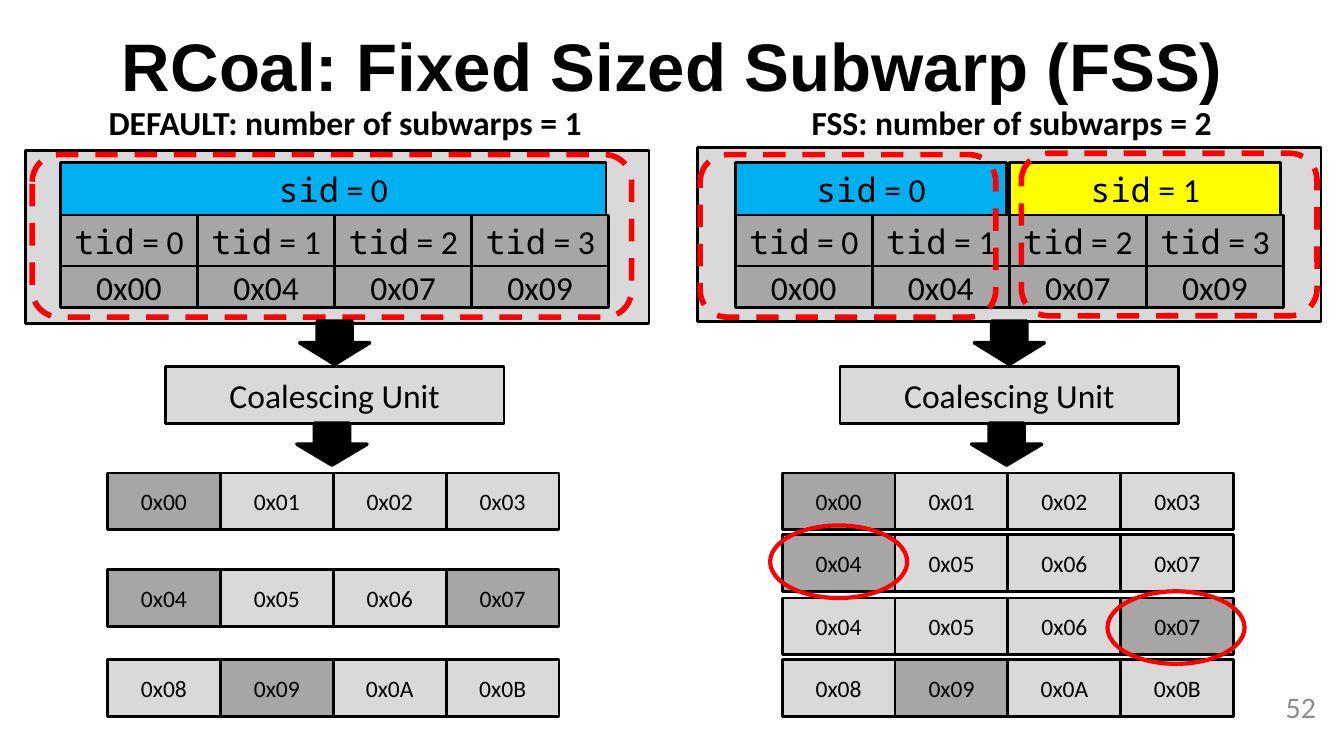
from pptx import Presentation
from pptx.dml.color import RGBColor
from pptx.enum.dml import MSO_LINE_DASH_STYLE as DASH
from pptx.enum.shapes import MSO_SHAPE as SHAPE
from pptx.enum.text import MSO_ANCHOR as ANCHOR, PP_ALIGN as ALIGN
from pptx.util import Inches, Pt

BLACK, RED, BLUE, YELLOW = "000000", "FF0000", "00B0F0", "FFFF00"
LIGHT, DARK = "D9D9D9", "A6A6A6"
MONO, SANS = "Noto Sans Mono", "Calibri"
ADDRESSES = ["0x00", "0x04", "0x07", "0x09"]


def rgb(value):
    """Turn a hex string into a colour."""
    return RGBColor.from_string(value)


def style(p, size, color=BLACK, font=SANS, bold=False, align=ALIGN.CENTER):
    """Format a whole paragraph."""
    p.alignment = align
    p.font.size, p.font.name, p.font.bold = Pt(size), font, bold
    p.font.color.rgb = rgb(color)


def add_shape(s, kind, x, y, w, h, fill=None, line=BLACK, width=1.5):
    """Add a flat preset shape, hollow when no fill is given."""
    sp = s.shapes.add_shape(kind, Inches(x), Inches(y), Inches(w), Inches(h))
    sp.shadow.inherit = False
    if fill:
        sp.fill.solid()
        sp.fill.fore_color.rgb = rgb(fill)
    else:
        sp.fill.background()
    sp.line.color.rgb = rgb(line)
    sp.line.width = Pt(width)
    return sp


def add_box(s, x, y, w, h, fill, text, size=18):
    """Add a bordered box with a centred label."""
    tf = add_shape(s, SHAPE.RECTANGLE, x, y, w, h, fill).text_frame
    tf.margin_left = tf.margin_right = Inches(0.03)
    tf.margin_top = tf.margin_bottom = Inches(0.01)
    tf.vertical_anchor = ANCHOR.MIDDLE
    p = tf.paragraphs[0]
    style(p, size)
    name, equals, value = text.partition(" = ")
    r = p.add_run()
    r.text = name
    if equals:
        r.font.name = MONO
        r = p.add_run()
        r.text = equals + value
        r.font.name = SANS


def add_text(s, x, y, w, h, text, size, wrap=False, **look):
    """Add a plain line of text."""
    tf = s.shapes.add_textbox(Inches(x), Inches(y), Inches(w), Inches(h)).text_frame
    tf.word_wrap = wrap
    tf.vertical_anchor = ANCHOR.MIDDLE
    p = tf.paragraphs[0]
    p.text = text
    style(p, size, **look)


def add_heading(s, x, w, text):
    """Add the bold heading of one half."""
    add_text(s, x, 0.71, w, 0.4, text, 18, bold=True, align=ALIGN.LEFT)


def add_title(s, text):
    """Place and format the title."""
    title = s.shapes.title
    title.left, title.top = Inches(0.12), Inches(0.01)
    title.width, title.height = Inches(9.77), Inches(0.94)
    tf = title.text_frame
    tf.text = text
    tf.vertical_anchor = ANCHOR.MIDDLE
    style(tf.paragraphs[0], 36, font="Arial", bold=True)


def add_warp(s, x, y, left, subwarps):
    """Add the warp panel with its subwarp, thread and address rows."""
    add_shape(s, SHAPE.RECTANGLE, x, y, 4.64, 1.29, LIGHT)
    step = 4.08 / len(subwarps)
    for i, color in enumerate(subwarps):
        add_box(s, left + i * step, 1.21, step - 0.02, 0.39, color, f"sid = {i}")
    for i, address in enumerate(ADDRESSES):
        add_box(s, left + i * 1.02, 1.6, 1.02, 0.39, DARK, f"tid = {i}")
        add_box(s, left + i * 1.02, 1.98, 1.02, 0.31, DARK, address)


def add_coalescing(s, x):
    """Add the coalescing unit and the arrows around it."""
    add_shape(s, SHAPE.DOWN_ARROW, x + 1, 2.39, 0.52, 0.32, BLACK, width=2)
    add_box(s, x, 2.73, 2.52, 0.42, LIGHT, "Coalescing Unit")
    add_shape(s, SHAPE.DOWN_ARROW, x + 0.98, 3.15, 0.52, 0.31, BLACK, width=2)


def add_block(s, x, y, start, used):
    """Add a row of four memory addresses, with the used one darker."""
    for i in range(4):
        fill = DARK if start + i in used else LIGHT
        add_box(s, x + i * 0.84, y, 0.84, 0.42, fill, f"0x{start + i:02X}", 12.6)


def add_outline(s, x, y, w):
    """Add a dashed outline around a subwarp."""
    sp = add_shape(s, SHAPE.ROUNDED_RECTANGLE, x, y, w, 1.21, line=RED, width=3)
    sp.line.dash_style = DASH.DASH


def main():
    """Build the slide."""
    prs = Presentation()
    prs.slide_width = Inches(10)
    prs.slide_height = prs.slide_width * 9 // 16
    s = prs.slides.add_slide(prs.slide_layouts[5])
    add_title(s, "RCoal: Fixed Sized Subwarp (FSS)")
    add_text(s, 7.56, 5.11, 2.33, 0.3, "52", 16, wrap=True, color="8C8C8C",
             align=ALIGN.RIGHT)

    add_heading(s, 0.71, 3.76, "DEFAULT: number of subwarps = 1")
    add_warp(s, 0.19, 1.12, 0.45, [BLUE])
    add_outline(s, 0.24, 1.15, 4.46)
    add_coalescing(s, 1.23)
    for y, start, used in [(3.52, 0, [0]), (4.24, 4, [4, 7]), (4.91, 8, [9])]:
        add_block(s, 0.8, y, start, used)

    add_heading(s, 5.94, 3.21, "FSS: number of subwarps = 2")
    add_warp(s, 5.19, 1.1, 5.47, [BLUE, YELLOW])
    add_coalescing(s, 6.25)
    for y, start, used in [(3.52, 0, [0]), (3.98, 4, [4]), (4.45, 4, [7]), (4.91, 8, [9])]:
        add_block(s, 5.82, y, start, used)
    for x, y in [(5.73, 3.91), (8.24, 4.4)]:
        add_shape(s, SHAPE.OVAL, x, y, 1.02, 0.54, line=RED, width=2.25)
    for x, y in [(7.6, 1.14), (5.21, 1.15)]:
        add_outline(s, x, y, 2.2)
    prs.save("out.pptx")


if __name__ == "__main__":
    main()
